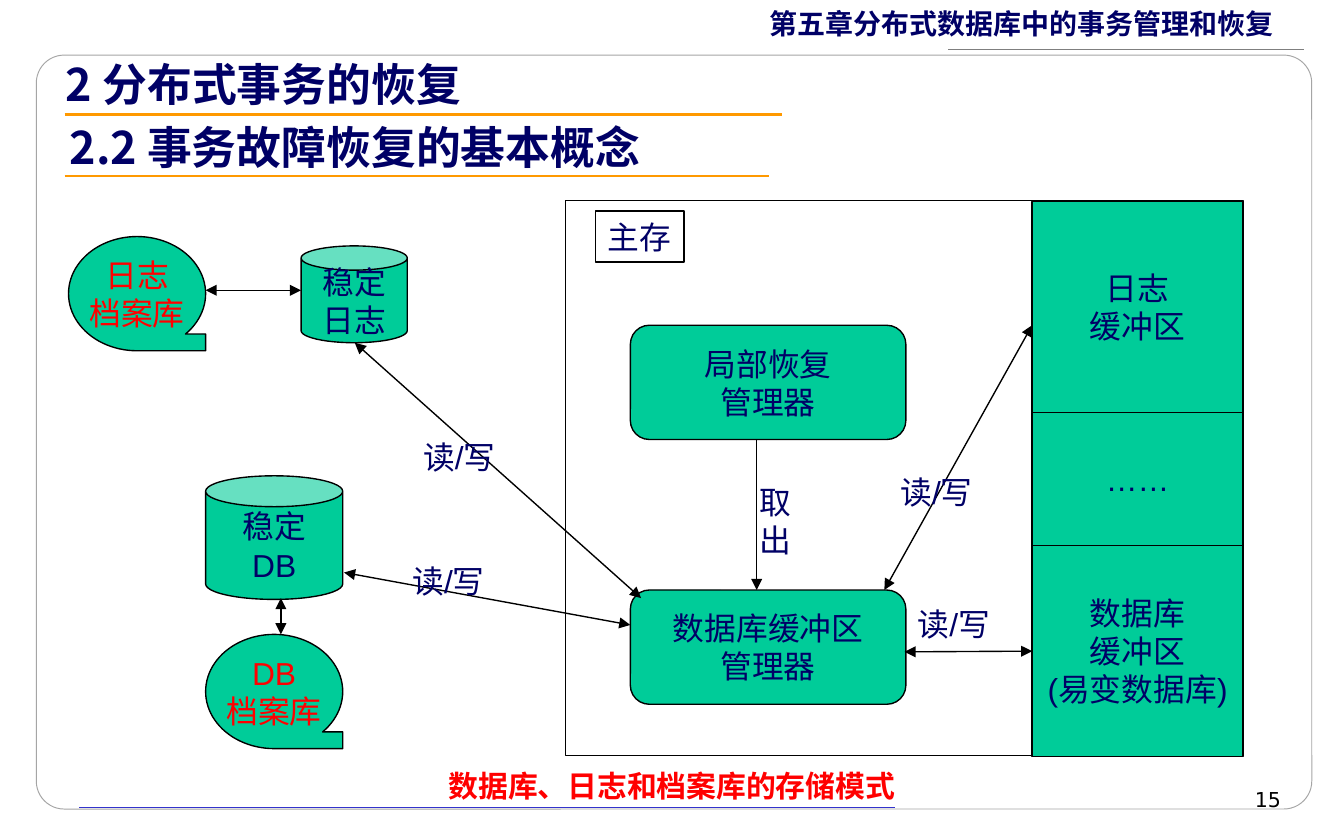
from lxml.etree import SubElement
from pptx import Presentation
from pptx.dml.color import RGBColor
from pptx.enum.shapes import MSO_CONNECTOR, MSO_SHAPE
from pptx.enum.text import MSO_ANCHOR, PP_ALIGN
from pptx.oxml.ns import qn
from pptx.util import Inches, Pt

COLORS = {
    "navy": "000066", "green": "00CC99", "red": "FF0000", "orange": "FF9900",
    "black": "000000", "white": "FFFFFF", "gray": "7F7F7F",
    "frame": "A5A5A5", "blue": "3333CC",
}


def rgb(name):
    return RGBColor.from_string(COLORS[name])


def set_font(font, size, color, name="Arial", bold=False):
    font.size = Pt(size)
    font.name = name
    font.bold = bold
    font.color.rgb = rgb(color)


def write(tf, text, size=17, color="navy", name="Arial", bold=False,
          align=PP_ALIGN.LEFT, wrap=False, anchor=MSO_ANCHOR.TOP):
    tf.word_wrap = wrap
    tf.vertical_anchor = anchor
    for i, line in enumerate(text.split("\n")):
        p = tf.paragraphs[0] if i == 0 else tf.add_paragraph()
        p.add_run().text = line
        p.alignment = align
        set_font(p.font, size, color, name, bold)


def add_text(s, box, text, **style):
    sp = s.shapes.add_textbox(*map(Inches, box))
    write(sp.text_frame, text, **style)
    return sp


def add_box(s, kind, box, text="", fill="green", line="black", weight=0.75,
            color="navy", adj=None):
    sp = s.shapes.add_shape(kind, *map(Inches, box))
    sp.shadow.inherit = False
    if adj is not None:
        sp.adjustments[0] = adj
    if fill:
        sp.fill.solid()
        sp.fill.fore_color.rgb = rgb(fill)
    else:
        sp.fill.background()
    sp.line.color.rgb = rgb(line)
    sp.line.width = Pt(weight)
    if text:
        write(sp.text_frame, text, color=color, align=PP_ALIGN.CENTER,
              anchor=MSO_ANCHOR.MIDDLE)
    return sp


def add_line(s, ends, color="black", weight=0.75, arrows=()):
    cx = s.shapes.add_connector(MSO_CONNECTOR.STRAIGHT, *map(Inches, ends))
    cx.line.color.rgb = rgb(color)
    cx.line.width = Pt(weight)
    for end in arrows:
        SubElement(cx.line._ln, qn(f"a:{end}"), type="triangle")
    SubElement(cx._element.spPr, qn("a:effectLst"))
    return cx


def add_frame(s):
    add_box(s, MSO_SHAPE.ROUNDED_RECTANGLE, (0.27, 0.41, 9.49, 5.61),
            fill="white", line="frame", weight=0.5, adj=0.037)
    add_line(s, (0.59, 6.01, 6.66, 6.01), "blue", 0.25)
    # Chapter name
    sp = s.shapes.add_textbox(*map(Inches, (5.63, 0.03, 4.37, 0.32)))
    sp.text_frame.word_wrap = True
    p = sp.text_frame.paragraphs[0]
    p.line_spacing = 0.9
    for text, name in (("第五章", "Noto Sans CJK SC"),
                       ("分布式数据库中的事务管理和恢复", "Times New Roman")):
        r = p.add_run()
        r.text = text
        set_font(r.font, 15, "navy", name, True)
    add_line(s, (9.7, 0.37, 7.05, 0.37), "gray")
    # Page number
    add_text(s, (7.13, 5.81, 2.5, 0.28), "15", size=11, color="black",
             name="DejaVu Sans", align=PP_ALIGN.RIGHT, wrap=True)


def add_headings(s):
    style = dict(size=24, name="Noto Sans CJK SC", bold=True, wrap=True)
    add_text(s, (0.42, 0.84, 5.84, 0.5), "2.2 事务故障恢复的基本概念", **style)
    add_line(s, (0.48, 1.31, 5.72, 1.31), "orange", 1.5)
    title = s.shapes.title
    title.left, title.top, title.width, title.height = map(
        Inches, (0.39, 0.37, 5.84, 0.5))
    write(title.text_frame, "2 分布式事务的恢复", **style)
    s.shapes.element.append(title.element)  # bring in front of the frame
    add_line(s, (0.48, 0.85, 5.82, 0.85), "orange", 1.5)


def add_memory(s):
    add_box(s, MSO_SHAPE.RECTANGLE, (4.21, 1.49, 5.04, 4.13), fill=None)
    # Stacked buffers
    top = 1.5
    for text, height in (("日志\n缓冲区", 1.57), ("……", 0.99),
                         ("数据库\n缓冲区\n(易变数据库)", 1.57)):
        buffer = add_box(s, MSO_SHAPE.RECTANGLE, (7.68, top, 1.57, height), text)
        top += height
    # Managers
    for text, y in (("局部恢复\n管理器", 2.42), ("数据库缓冲区\n管理器", 4.39)):
        add_box(s, MSO_SHAPE.ROUNDED_RECTANGLE, (4.69, y, 2.05, 0.85), text)
    add_box(s, MSO_SHAPE.RECTANGLE, (4.43, 1.57, 0.66, 0.38), "主存", fill=None)
    return buffer


def add_storage(s):
    tape, can = MSO_SHAPE.FLOWCHART_SEQUENTIAL_ACCESS_STORAGE, MSO_SHAPE.CAN
    add_box(s, tape, (0.51, 1.76, 1.02, 0.85), "日志\n档案库", color="red")
    add_box(s, tape, (1.53, 4.72, 1.02, 0.85), "DB\n档案库", color="red")
    add_box(s, can, (2.24, 1.83, 0.79, 0.72), "稳定\n日志", adj=0.25)
    add_box(s, can, (1.53, 3.54, 1.02, 0.92), "稳定\nDB", adj=0.25)


def add_flows(s, db_buffer):
    both = ("headEnd", "tailEnd")
    add_line(s, (5.63, 3.27, 5.63, 4.39), arrows=("tailEnd",))
    for ends in ((7.68, 2.42, 6.58, 4.39), (1.53, 2.16, 2.24, 2.16),
                 (2.64, 2.55, 4.77, 4.45), (2.09, 4.45, 2.09, 4.72),
                 (2.56, 4.26, 4.69, 4.65)):
        add_line(s, ends, arrows=both)
    cx = add_line(s, (6.73, 4.85, 7.68, 4.85), arrows=both)
    cx.end_connect(db_buffer, 1)
    # Flow labels
    add_text(s, (5.55, 3.54, 0.66, 0.38), "取出")
    for x, y in ((6.73, 4.45), (6.6, 3.47), (3.05, 3.21), (2.97, 4.13)):
        add_text(s, (x, y, 0.84, 0.38), "读/写")


def main():
    prs = Presentation()
    prs.slide_width, prs.slide_height = Inches(10), Inches(6.25)
    s = prs.slides.add_slide(prs.slide_layouts[5])
    add_frame(s)
    db_buffer = add_memory(s)
    add_storage(s)
    add_flows(s, db_buffer)
    # Caption
    add_text(s, (2.87, 5.66, 4.26, 0.36), "数据库、日志和档案库的存储模式",
             size=16, color="red", name="Times New Roman", bold=True,
             align=PP_ALIGN.CENTER, wrap=True)
    add_headings(s)
    prs.save("out.pptx")


if __name__ == "__main__":
    main()
